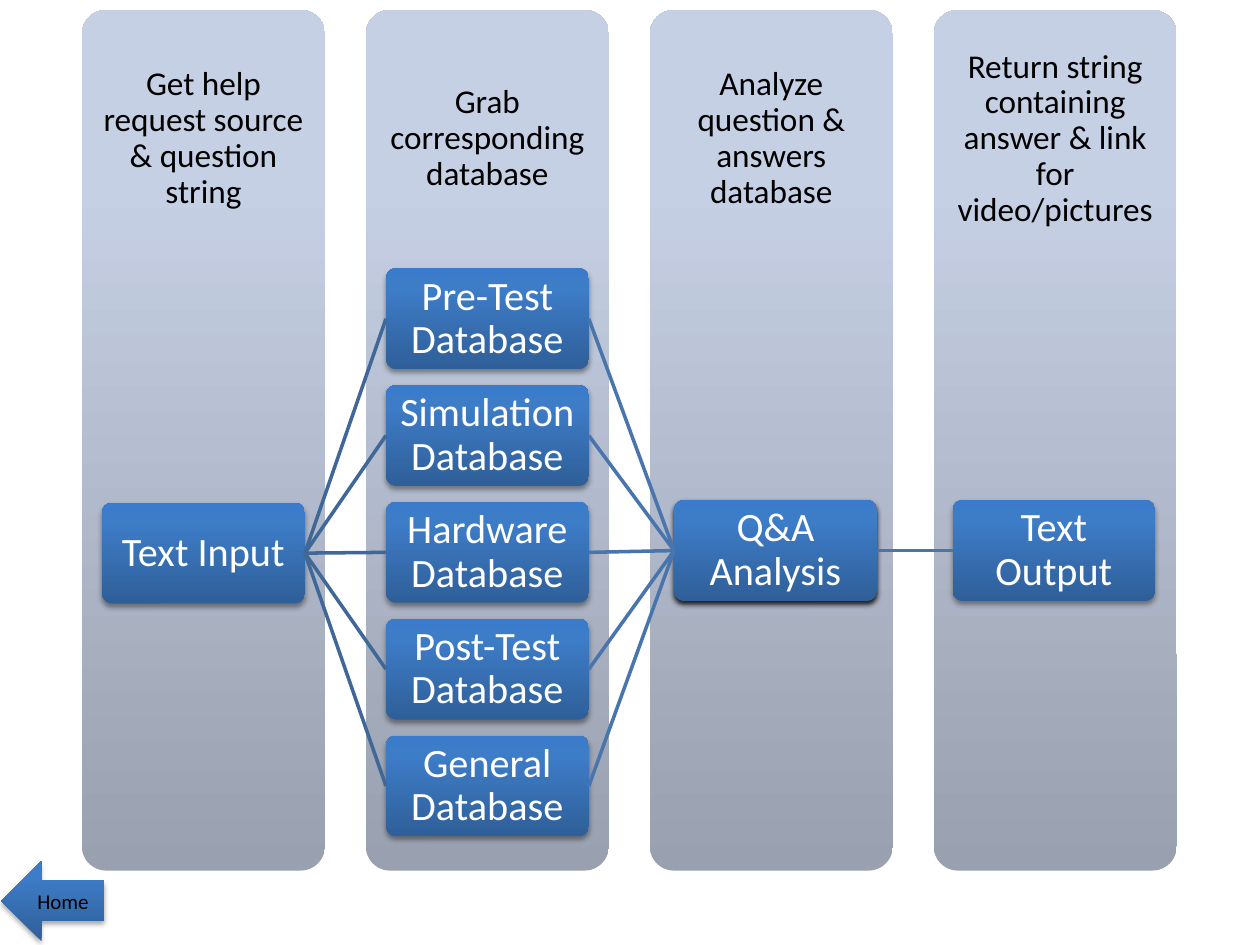
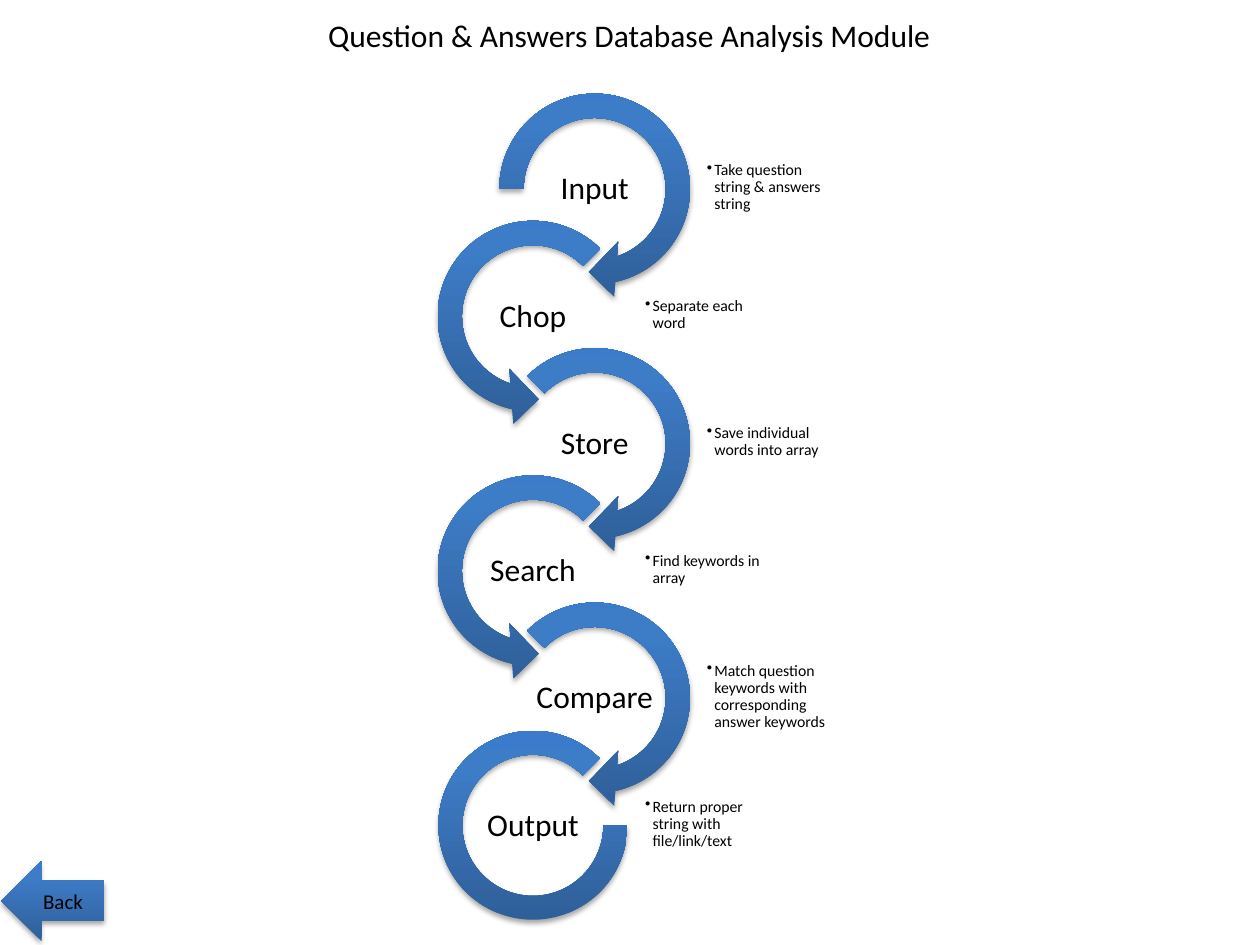
import lxml.etree
import pptx
import pptx.dml.color
import pptx.enum.shapes
import pptx.enum.text
import pptx.oxml.ns
import pptx.util

Inches = pptx.util.Inches
Pt = pptx.util.Pt
qn = pptx.oxml.ns.qn
SHAPE = pptx.enum.shapes.MSO_SHAPE
ALIGN = pptx.enum.text.PP_ALIGN
ANCHOR = pptx.enum.text.MSO_ANCHOR

FONT = "Calibri"
BLACK, WHITE = "000000", "FFFFFF"
BLUE_STOPS = [(0, "2F5F99"), (80, "3D7CC7"), (100, "3A7CCB")]
PALE_STOPS = [(0, "99A0AF"), (80, "C6D0E4"), (100, "C7D1E5")]
INPUT_LINK, RESULT_LINK = "3F6797", "4875AC"
LEFT_SITE, RIGHT_SITE = 1, 3


def rgb(hex_code):
    return pptx.dml.color.RGBColor.from_string(hex_code)


def sub(parent, tag, **attributes):
    return lxml.etree.SubElement(parent, qn(tag), {k: str(v) for k, v in attributes.items()})


def write(frame, text, size=18, color=BLACK, align=ALIGN.CENTER, anchor=ANCHOR.MIDDLE,
          inset=None, spacing=0.9, bullet=False):
    frame.word_wrap = True
    frame.vertical_anchor = anchor
    if inset is not None:
        frame.margin_left = frame.margin_right = Inches(inset)
        frame.margin_top = frame.margin_bottom = Inches(inset)
    paragraph = frame.paragraphs[0]
    paragraph.alignment = align
    paragraph.line_spacing = spacing
    run = paragraph.add_run()
    run.text = text
    run.font.name, run.font.size = FONT, Pt(size)
    run.font.color.rgb = rgb(color)
    if bullet:
        properties = paragraph._p.get_or_add_pPr()
        properties.set("marL", str(Inches(0.06)))
        properties.set("indent", str(-Inches(0.06)))
        sub(properties, "a:buChar", char="•")


def add_text(slide, box, text, **format_args):
    holder = slide.shapes.add_textbox(*map(Inches, box))
    write(holder.text_frame, text, **format_args)


def add_gradient_shape(slide, kind, box, stops=BLUE_STOPS, adjustments=(), shadow=35):
    """Add an unlined shape, shaded from bottom to top; shadow is its opacity in percent."""
    shape = slide.shapes.add_shape(kind, *map(Inches, box))
    for index, value in enumerate(adjustments):
        shape.adjustments[index] = value
    shape.line.fill.background()
    shape.fill.gradient()
    shape.fill.gradient_angle = 90
    properties = shape._element.spPr
    stop_list = properties.find(qn("a:gradFill")).find(qn("a:gsLst"))
    for old_stop in list(stop_list):
        stop_list.remove(old_stop)
    for position, color in stops:
        sub(sub(stop_list, "a:gs", pos=position * 1000), "a:srgbClr", val=color)
    shape.shadow.inherit = False
    if shadow:
        outer = sub(properties.find(qn("a:effectLst")), "a:outerShdw", blurRad=Pt(3.1),
                    dist=Pt(1.8), dir=5400000, rotWithShape=0)
        sub(sub(outer, "a:srgbClr", val=BLACK), "a:alpha", val=shadow * 1000)
    return shape


def add_nav_arrow(slide, label):
    arrow = add_gradient_shape(slide, SHAPE.LEFT_ARROW, (0.01, 6.83, 0.82, 0.64))
    write(arrow.text_frame, label, size=12, spacing=1.0)


# Flow slide parts
def add_stage(slide, box, heading):
    left, top, width, height = box
    add_gradient_shape(slide, SHAPE.ROUNDED_RECTANGLE, box, PALE_STOPS, (0.1,), shadow=0)
    add_text(slide, (left, top, width, height * 0.3), heading, size=19, inset=0.15)


def add_node(slide, left, top, label, shadow=38):
    node = add_gradient_shape(slide, SHAPE.ROUNDED_RECTANGLE, (left, top, 1.61, 0.8),
                              adjustments=(0.1,), shadow=shadow)
    write(node.text_frame, label, size=23, color=WHITE, inset=0.02)
    return node


def link(slide, start, end, color):
    line = slide.shapes.add_connector(pptx.enum.shapes.MSO_CONNECTOR.STRAIGHT, 0, 0, 0, 0)
    line.begin_connect(start, RIGHT_SITE)
    line.end_connect(end, LEFT_SITE)
    line.line.color.rgb = rgb(color)
    line.line.width = Pt(2)
    sub(line._element.spPr, "a:effectLst")


def build_flow(slide, box):
    left, top, width, height = box
    headings = ["Get help request source & question string",
                "Grab corresponding database",
                "Analyze question & answers database",
                "Return string containing answer & link for video/pictures"]
    stage_width = 1.93
    pitch = (width - stage_width) / (len(headings) - 1)
    for index, heading in enumerate(headings):
        add_stage(slide, (left + index * pitch, top, stage_width, height), heading)

    # Nodes
    text_input = add_node(slide, left + 0.16, top + 3.91, "Text Input")
    databases = [add_node(slide, left + pitch + 0.16, top + 2.05 + index * 0.927,
                          name + " Database")
                 for index, name in enumerate(
                     ["Pre-Test", "Simulation", "Hardware", "Post-Test", "General"])]
    analysis = add_node(slide, left + 4.7, top + 3.89, "Q&A Analysis", shadow=85)
    text_output = add_node(slide, left + 6.91, top + 3.89, "Text Output")

    # Links
    for database in databases:
        link(slide, text_input, database, INPUT_LINK)
        link(slide, database, analysis, RESULT_LINK)
    link(slide, analysis, text_output, RESULT_LINK)


# Analysis slide parts
def add_step(slide, left, top, kind, adjustments, label, note):
    size = 1.76
    margin = 0.13 if kind == SHAPE.BLOCK_ARC else 0
    ring = (left + margin, top + margin, size - 2 * margin, size - 2 * margin)
    add_gradient_shape(slide, kind, ring, adjustments=adjustments)
    add_text(slide, (left + size, top + 0.52, 1.05, 0.7), note, size=9,
             align=ALIGN.LEFT, inset=0.01, bullet=True)
    add_text(slide, (left + 0.39, top + 0.64, 0.98, 0.49), label, inset=0.01)


def build_analysis(slide, left, top):
    first = (SHAPE.CIRCULAR_ARROW, (0.11, 11.42, 45, 108, 0.125))
    rightward = (SHAPE.CIRCULAR_ARROW, (0.11, 11.42, 45, 135, 0.125))
    leftward = (SHAPE.LEFT_CIRCULAR_ARROW, (0.11, 11.42, 63, 189, 0.125))
    last = (SHAPE.BLOCK_ARC, (0, 189, 0.127))
    steps = [(first, "Input", "Take question string & answers string"),
             (leftward, "Chop", "Separate each word"),
             (rightward, "Store", "Save individual words into array"),
             (leftward, "Search", "Find keywords in array"),
             (rightward, "Compare",
              "Match question keywords with corresponding answer keywords"),
             (last, "Output", "Return proper string with file/link/text")]
    for index, ((kind, adjustments), label, note) in enumerate(steps):
        shift = 0 if index % 2 else 0.49
        add_step(slide, left + shift, top + index * 1.01, kind, adjustments, label, note)


deck = pptx.Presentation()
deck.slide_width, deck.slide_height = Inches(10), Inches(7.5)
blank = deck.slide_layouts[6]

flow = deck.slides.add_slide(blank)
build_flow(flow, (0.65, 0.08, 8.69, 6.83))
add_nav_arrow(flow, "Home")

analysis_module = deck.slides.add_slide(blank)
build_analysis(analysis_module, 3.35, 0.62)
add_text(analysis_module, (0.08, 0.08, 9.83, 0.4),
         "Question & Answers Database Analysis Module", anchor=ANCHOR.TOP, spacing=1.0)
add_nav_arrow(analysis_module, "Back")

deck.save("out.pptx")
